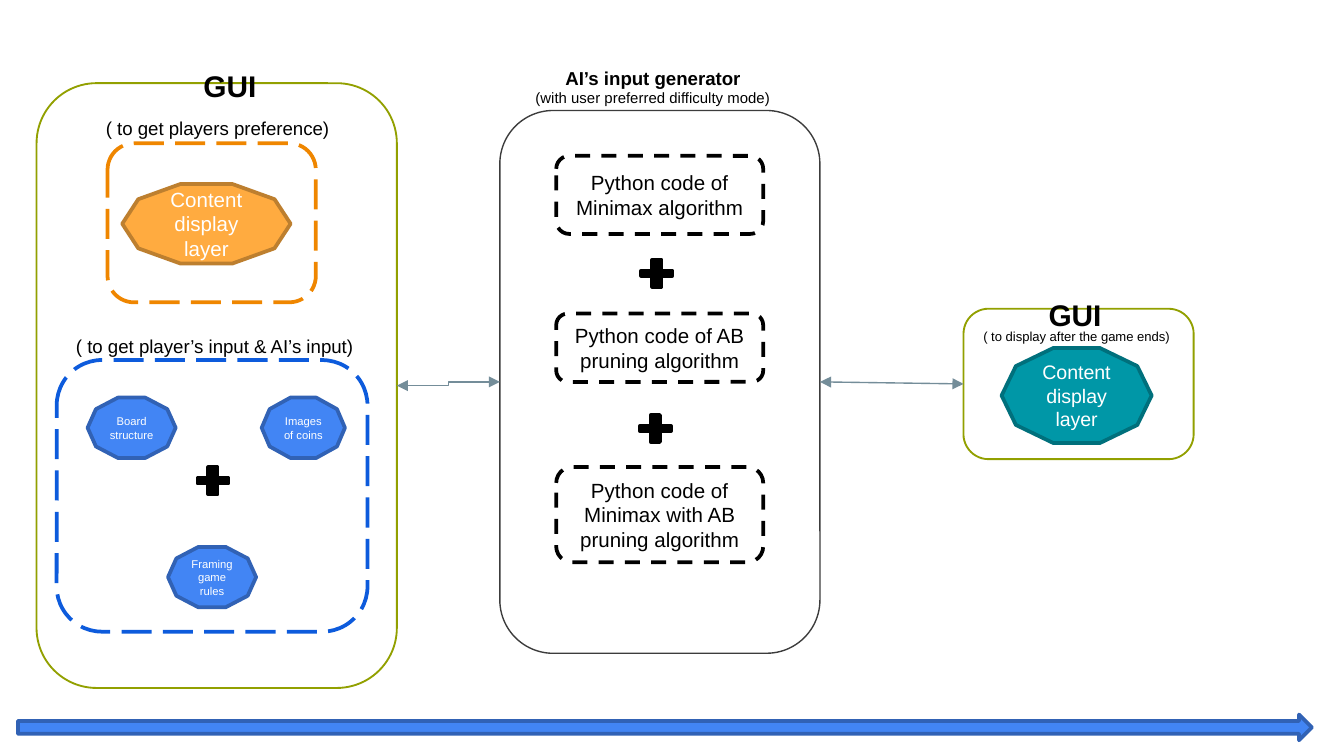
from lxml import etree
from pptx import Presentation
from pptx.dml.color import RGBColor
from pptx.enum.dml import MSO_LINE
from pptx.enum.shapes import MSO_CONNECTOR, MSO_SHAPE
from pptx.enum.text import MSO_ANCHOR, PP_ALIGN
from pptx.oxml.ns import qn
from pptx.util import Pt

BLACK = RGBColor(0x00, 0x00, 0x00)
WHITE = RGBColor(0xFF, 0xFF, 0xFF)
OLIVE = RGBColor(0x92, 0xA0, 0x00)
CHARCOAL = RGBColor(0x3C, 0x3C, 0x3C)
SLATE = RGBColor(0x74, 0x8D, 0x99)
BLUE = RGBColor(0x42, 0x85, 0xF4)
DARK_BLUE = RGBColor(0x31, 0x62, 0xB5)
DASH_BLUE = RGBColor(0x0D, 0x5B, 0xDC)
ORANGE = RGBColor(0xFF, 0xAB, 0x40)
DARK_ORANGE = RGBColor(0xBD, 0x7F, 0x2F)
DASH_ORANGE = RGBColor(0xEF, 0x86, 0x00)
TEAL = RGBColor(0x00, 0x97, 0xA7)
DARK_TEAL = RGBColor(0x00, 0x70, 0x7C)

FONT = "Arial"
LEFT, TOP_EDGE, RIGHT_SIDE = 1, 0, 3


def write(paragraph, text, size, color, bold=False):
    """Fill a centred paragraph with one formatted run."""
    paragraph.alignment = PP_ALIGN.CENTER
    run = paragraph.add_run()
    run.text = text
    run.font.name, run.font.size, run.font.bold = FONT, Pt(size), bold
    run.font.color.rgb = color


def add_box(slide, kind, box, line, width=2, fill=None, dash=None):
    """Add a preset shape with the given outline and optional fill."""
    shape = slide.shapes.add_shape(kind, *map(Pt, box))
    shape.shadow.inherit = False
    if fill is None:
        shape.fill.background()
    else:
        shape.fill.solid()
        shape.fill.fore_color.rgb = fill
    shape.line.color.rgb = line
    shape.line.width = Pt(width)
    if dash is not None:
        shape.line.dash_style = dash
    return shape


def add_caption(shape, text, size, color):
    """Write centred text inside a shape."""
    frame = shape.text_frame
    frame.word_wrap = True
    frame.vertical_anchor = MSO_ANCHOR.MIDDLE
    write(frame.paragraphs[0], text, size, color)


def add_decagon(slide, box, text, size, fill, line):
    """Add a filled decagon with white text."""
    decagon = add_box(slide, MSO_SHAPE.DECAGON, box, line, fill=fill)
    add_caption(decagon, text, size, WHITE)


def add_plus(slide, left, top):
    """Add a small black plus sign."""
    plus = add_box(slide, MSO_SHAPE.CROSS, (left, top, 16.6, 14.4), BLACK, fill=BLACK)
    plus.adjustments[0] = 0.404


def add_label(slide, center_x, center_y, lines):
    """Add a text box centred on a point, from (text, size, bold) lines."""
    width, height = 200, 1.15 * sum(size for _, size, _ in lines)
    box = slide.shapes.add_textbox(
        Pt(center_x - width / 2), Pt(center_y - height / 2), Pt(width), Pt(height))
    frame = box.text_frame
    frame.word_wrap = True
    frame.vertical_anchor = MSO_ANCHOR.MIDDLE
    frame.margin_left = frame.margin_right = frame.margin_top = frame.margin_bottom = 0
    for index, (text, size, bold) in enumerate(lines):
        paragraph = frame.add_paragraph() if index else frame.paragraphs[0]
        write(paragraph, text, size, BLACK, bold)


def add_double_arrow(slide, kind, source, target):
    """Join the right side of one panel to the left side of another."""
    arrow = slide.shapes.add_connector(kind, 0, 0, 0, 0)
    arrow.begin_connect(source, RIGHT_SIDE)
    arrow.end_connect(target, LEFT)
    arrow.line.color.rgb = SLATE
    arrow.line.width = Pt(0.75)
    line = arrow.line._get_or_add_ln()
    for end in ("a:headEnd", "a:tailEnd"):
        etree.SubElement(line, qn(end), type="triangle")
    etree.SubElement(arrow._element.spPr, qn("a:effectLst"))


def add_input_panel(slide):
    """Add the panel that collects preferences and moves."""
    rounded = MSO_SHAPE.ROUNDED_RECTANGLE
    panel = add_box(slide, rounded, (19.6, 44.6, 193, 324), OLIVE, 1)
    add_box(slide, rounded, (57.6, 76.8, 111.6, 85.2), DASH_ORANGE,
            fill=WHITE, dash=MSO_LINE.LONG_DASH)
    add_box(slide, rounded, (30.4, 192.9, 166.5, 145.5), DASH_BLUE,
            dash=MSO_LINE.LONG_DASH)
    add_decagon(slide, (65.5, 98.6, 90.2, 42.6), "Content display layer", 11,
                ORANGE, DARK_ORANGE)
    for left, top, width, text in (
            (46.9, 213, 47.2, "Board structure"),
            (140.2, 213, 44.6, "Images of coins"),
            (90, 293, 47.2, "Framing game rules")):
        add_decagon(slide, (left, top, width, 32.4), text, 6, BLUE, DARK_BLUE)
    add_plus(slide, 105.8, 250.4)
    add_label(slide, 123.2, 46.1, [("GUI", 16, True)])
    add_label(slide, 116.5, 68.6, [("( to get players preference)", 10, False)])
    add_label(slide, 114.9, 185.4,
              [("( to get player’s input & AI’s input)", 10, False)])
    return panel


def add_generator_panel(slide):
    """Add the panel that lists the algorithms."""
    rounded = MSO_SHAPE.ROUNDED_RECTANGLE
    panel = add_box(slide, rounded, (267.8, 59.2, 171.5, 290.8), CHARCOAL, 0.75)
    for top, height, text in (
            (83.5, 41.8, "Python code of Minimax algorithm"),
            (168, 36.6, "Python code of AB pruning algorithm"),
            (250.2, 51, "Python code of Minimax with AB pruning algorithm")):
        step = add_box(slide, rounded, (298, top, 110.9, height), BLACK,
                       fill=WHITE, dash=MSO_LINE.DASH)
        add_caption(step, text, 11, BLACK)
    add_plus(slide, 343.6, 139.2)
    add_plus(slide, 342.8, 222.4)
    add_label(slide, 349.8, 46.5, [
        ("AI’s input generator", 10, True),
        ("(with user preferred difficulty mode)", 8, False)])
    return panel


def add_result_panel(slide):
    """Add the panel shown after the game ends."""
    panel = add_box(slide, MSO_SHAPE.ROUNDED_RECTANGLE,
                    (516.2, 165.4, 123.3, 80.6), OLIVE, 1)
    add_decagon(slide, (536.6, 186.4, 80.4, 51), "Content display layer", 10.5,
                TEAL, DARK_TEAL)
    add_label(slide, 575.9, 168.8, [("GUI", 16, True)])
    add_label(slide, 576.7, 180, [("( to display after the game ends)", 7, False)])
    return panel


def main():
    """Build the game architecture slide."""
    deck = Presentation()
    deck.slide_width, deck.slide_height = Pt(720), Pt(405)
    slide = deck.slides.add_slide(deck.slide_layouts[6])
    inputs = add_input_panel(slide)
    generator = add_generator_panel(slide)
    result = add_result_panel(slide)
    add_double_arrow(slide, MSO_CONNECTOR.ELBOW, inputs, generator)
    add_double_arrow(slide, MSO_CONNECTOR.STRAIGHT, generator, result)
    add_box(slide, MSO_SHAPE.RIGHT_ARROW, (9.6, 382.8, 693.2, 13.8), DARK_BLUE,
            fill=BLUE)
    deck.save("out.pptx")


main()
